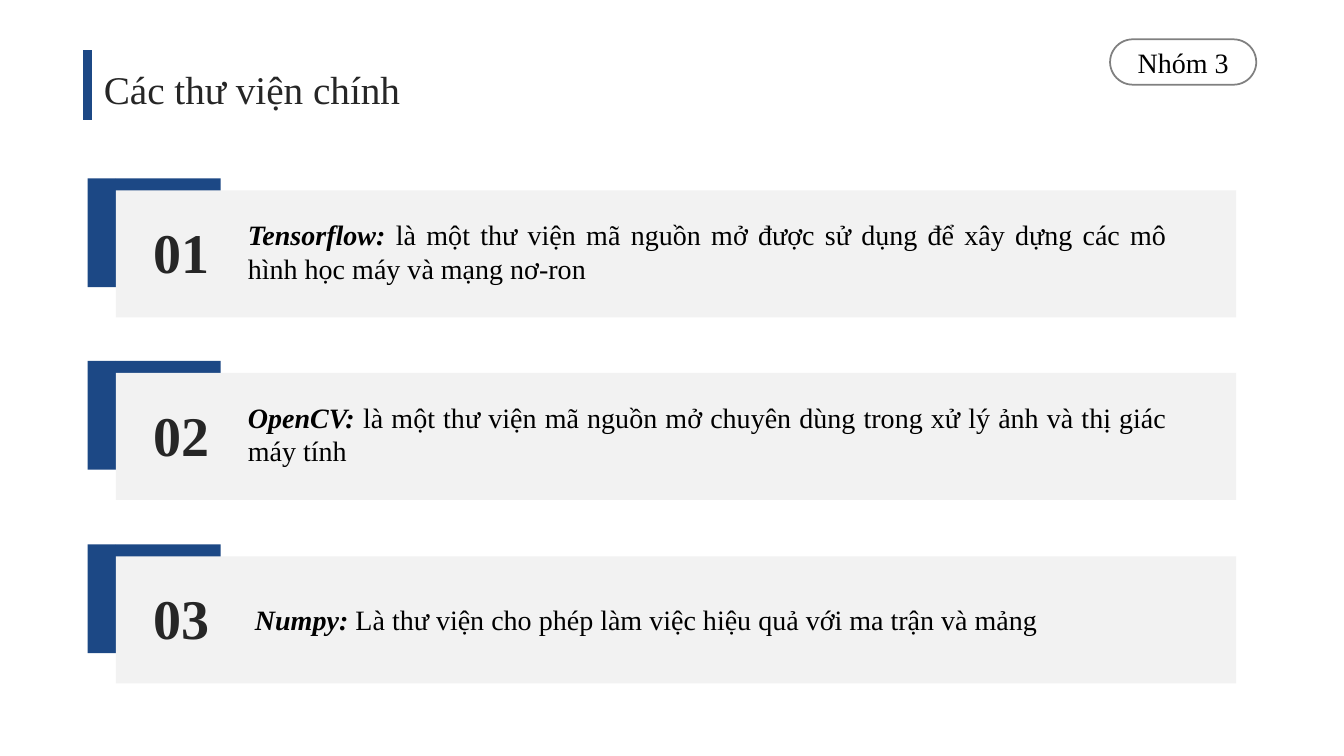
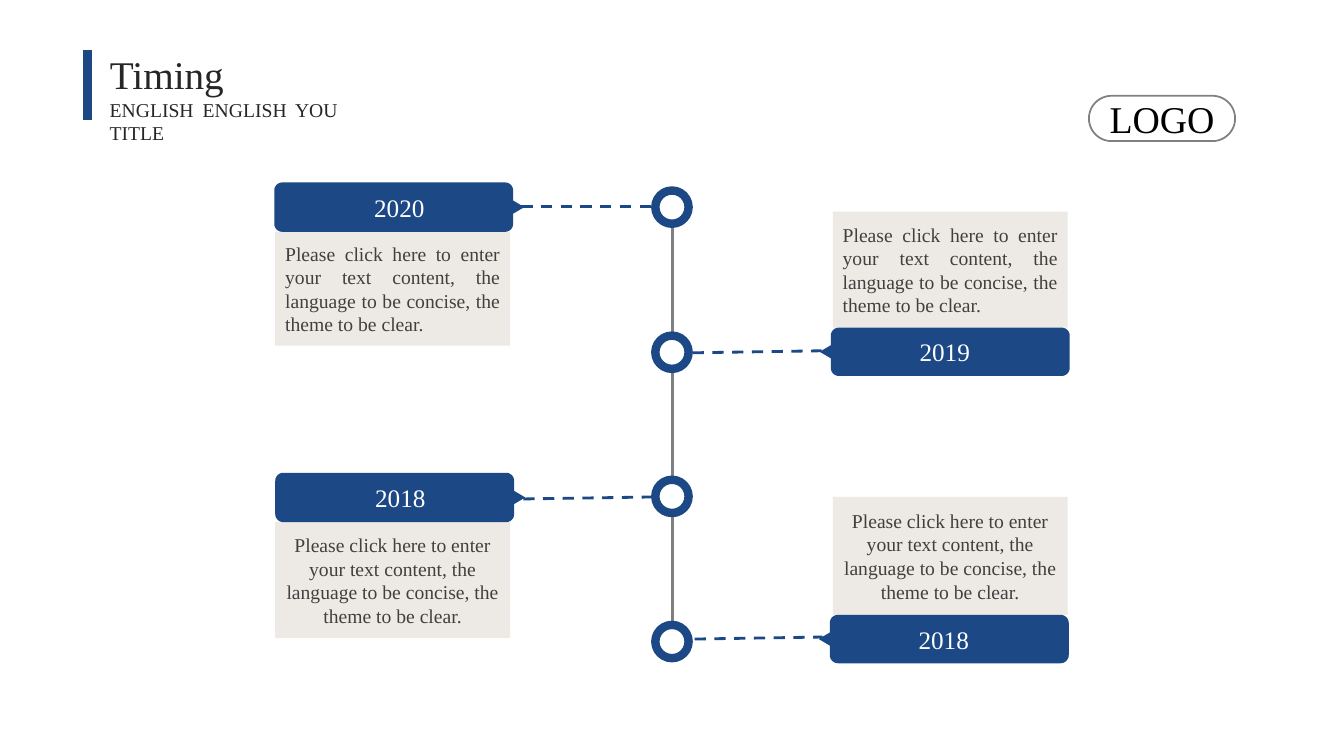
import math
from dataclasses import dataclass

from lxml import etree
from pptx import Presentation, util as u
from pptx.dml.color import RGBColor
from pptx.enum import dml, shapes, text
from pptx.oxml.ns import qn

PX = 9144  # EMU in one px: 100 px to the inch
FONT = "Times New Roman"
COLORS = {
    "navy": "1C4885", "ink": "262626", "body": "404040", "black": "000000",
    "white": "FFFFFF", "gray": "808080", "panel": "F2F2F2", "note": "EDEAE5",
}
LEFT, CENTER, JUSTIFY = (text.PP_ALIGN.LEFT, text.PP_ALIGN.CENTER,
                         text.PP_ALIGN.JUSTIFY)
RECT = shapes.MSO_SHAPE.RECTANGLE
NOTE = ("Please click here to enter your text content, the language "
        "to be concise, the theme to be clear.")

# Library cards
PANEL_TOP, PANEL_HEIGHT = 189, 126

# Timeline
AXIS_X, RING = 667, 33
NOTE_WIDTH, TAG_BODY, NIB, NIB_HALF, CORNER = 233, 237, 11, 6.5, 8


@dataclass(frozen=True)
class Box:
    left: int
    top: int
    width: int
    height: int

    def emu(self) -> list[int]:
        return [u.Emu(v * PX) for v in
                (self.left, self.top, self.width, self.height)]


@dataclass(frozen=True)
class Library:
    number: str
    name: str
    summary: str
    text_left: int = 236
    text_drop: int = 22


@dataclass(frozen=True)
class Milestone:
    year: str
    on_left: bool
    tag: Box
    note_height: int
    note_align: text.PP_ALIGN
    ring_top: int
    link: tuple[int, int, int, int]


LIBRARIES = [
    Library("01", "Tensorflow: ", "là một thư viện mã nguồn mở được sử dụng để "
            "xây dựng các mô hình học máy và mạng nơ-ron"),
    Library("02", "OpenCV: ", "là một thư viện mã nguồn mở chuyên dùng trong "
            "xử lý ảnh và thị giác máy tính"),
    Library("03", "Numpy: ", "Là thư viện cho phép làm việc hiệu quả với "
            "ma trận và mảng", 243, 41),
]
MILESTONES = [
    Milestone("2020", True, Box(272, 181, 248, 49), 113, JUSTIFY, 189,
              (517, 205, 650, 205)),
    Milestone("2019", False, Box(813, 325, 248, 48), 115, JUSTIFY, 333,
              (687, 350, 815, 348)),
    Milestone("2018", True, Box(273, 469, 248, 49), 115, CENTER, 476,
              (519, 495, 649, 493)),
    Milestone("2018", False, Box(812, 610, 248, 48), 117, CENTER, 620,
              (689, 634, 816, 632)),
]


def rgb(name: str) -> RGBColor:
    return RGBColor.from_string(COLORS[name])


def style_text(paragraph, size: int, color: str, align=LEFT,
               bold: bool = False) -> None:
    paragraph.alignment = align
    font = paragraph.font
    font.name, font.size, font.bold = FONT, u.Pt(size), bold
    font.color.rgb = rgb(color)


def paint(shape, fill: str | None, line: str | None = None,
          weight: float = 1) -> None:
    shape.shadow.inherit = False
    if fill:
        shape.fill.solid()
        shape.fill.fore_color.rgb = rgb(fill)
    else:
        shape.fill.background()
    if line:
        shape.line.color.rgb = rgb(line)
        shape.line.width = u.Pt(weight)
    else:
        shape.line.fill.background()


def add_block(slide, box: Box, fill: str | None, line: str | None = None,
              weight: float = 1, kind=RECT):
    block = slide.shapes.add_shape(kind, *box.emu())
    paint(block, fill, line, weight)
    return block


def label(shape, words: str, size: int, color: str, align=CENTER) -> None:
    shape.text_frame.vertical_anchor = text.MSO_ANCHOR.MIDDLE
    shape.text_frame.text = words
    style_text(shape.text_frame.paragraphs[0], size, color, align)


def add_words(slide, box: Box, words: str, size: int, color: str,
              align=LEFT, bold: bool = False):
    frame = slide.shapes.add_textbox(*box.emu()).text_frame
    frame.word_wrap = True
    paragraph = frame.paragraphs[0]
    if words:
        paragraph.text = words
    style_text(paragraph, size, color, align, bold)
    return paragraph


def add_line(slide, ends: tuple[int, int, int, int], color: str,
             weight: float, dashed: bool = False) -> None:
    line = slide.shapes.add_connector(shapes.MSO_CONNECTOR.STRAIGHT,
                                      *[u.Emu(v * PX) for v in ends])
    line.line.color.rgb = rgb(color)
    line.line.width = u.Pt(weight)
    if dashed:
        line.line.dash_style = dml.MSO_LINE.DASH
    etree.SubElement(line._element.spPr, qn("a:effectLst"))


def start_slide(deck, title: str, title_box: Box, badge: str, badge_box: Box,
                badge_size: int):
    """Title, accent bar and badge that both slides share."""
    slide = deck.slides.add_slide(deck.slide_layouts[5])
    heading = slide.shapes.title
    (heading.left, heading.top, heading.width,
     heading.height) = title_box.emu()
    frame = heading.text_frame
    frame.text = title
    frame.word_wrap = True
    frame.auto_size = text.MSO_AUTO_SIZE.NONE
    frame.vertical_anchor = text.MSO_ANCHOR.TOP
    style_text(frame.paragraphs[0], 28, "ink")
    add_line(slide, (87, 50, 87, 119), "navy", 6)
    pill = add_block(slide, badge_box, None, "gray", 1.25,
                     shapes.MSO_SHAPE.ROUNDED_RECTANGLE)
    pill.adjustments[0] = 0.5
    label(pill, badge, badge_size, "black")
    return slide


def add_library(slide, library: Library, top: int) -> None:
    add_block(slide, Box(87, top - 12, 28, 108), "navy")
    add_block(slide, Box(115, top - 12, 104, 16), "navy")
    add_block(slide, Box(115, top, 1111, PANEL_HEIGHT), "panel")
    add_words(slide, Box(142, top + 22, 237, 77), library.number, 40, "ink",
              bold=True)
    box = Box(library.text_left, top + library.text_drop, 931, 77)
    paragraph = add_words(slide, box, "", 20, "black", JUSTIFY)
    name = paragraph.add_run()
    name.text = library.name
    name.font.bold = name.font.italic = True
    paragraph.add_run().text = library.summary


def add_tag(slide, stone: Milestone) -> None:
    """Rounded year tag whose nib points at the axis."""
    tag = stone.tag
    middle = tag.height / 2
    right, bottom = TAG_BODY - CORNER, tag.height - CORNER

    def corner(x: float, y: float, start: int) -> list[tuple[float, float]]:
        turns = [math.radians(start + step) for step in range(0, 91, 15)]
        return [(x + CORNER * math.cos(t), y + CORNER * math.sin(t))
                for t in turns]

    outline = (corner(CORNER, CORNER, 180) + corner(right, CORNER, 270)
               + [(TAG_BODY, middle - NIB_HALF), (TAG_BODY + NIB, middle),
                  (TAG_BODY, middle + NIB_HALF)]
               + corner(right, bottom, 0) + corner(CORNER, bottom, 90))
    if not stone.on_left:
        outline = [(tag.width - x, y) for x, y in outline]
    points = [((tag.left + x) * PX, (tag.top + y) * PX) for x, y in outline]
    builder = slide.shapes.build_freeform(*[round(v) for v in points[0]])
    builder.add_line_segments(points[1:], close=True)
    shape = builder.convert_to_shape()
    paint(shape, "navy")
    label(shape, stone.year, 18, "white")


def add_note(slide, stone: Milestone) -> None:
    """Notes hang below tags on the left and stand on tags on the right."""
    tag, height = stone.tag, stone.note_height
    left = 273 if stone.on_left else 826
    top = tag.top + tag.height if stone.on_left else tag.top - height
    note = add_block(slide, Box(left, top, NOTE_WIDTH, height), "note")
    label(note, NOTE, 14, "body", stone.note_align)


def build_libraries(deck) -> None:
    slide = start_slide(deck, "Các thư viện chính", Box(93, 60, 526, 57),
                        "Nhóm 3", Box(1101, 39, 145, 45), 20)
    for index, library in enumerate(LIBRARIES):
        add_library(slide, library, PANEL_TOP + index * 363 // 2)


def build_timeline(deck) -> None:
    slide = start_slide(deck, "Timing", Box(99, 45, 278, 57),
                        "LOGO", Box(1080, 95, 145, 45), 27)
    add_words(slide, Box(99, 92, 246, 34), "ENGLISH ENGLISH YOU TITLE", 14,
              "ink", JUSTIFY)
    add_line(slide, (AXIS_X, 189, AXIS_X, 654), "gray", 2)
    for stone in MILESTONES:
        add_note(slide, stone)
        add_block(slide, Box(AXIS_X - RING // 2 - 1, stone.ring_top, RING, RING),
                  "white", "navy", 6, shapes.MSO_SHAPE.OVAL)
        add_tag(slide, stone)
        add_line(slide, stone.link, "navy", 2, dashed=True)


def main() -> None:
    deck = Presentation()
    deck.slide_width, deck.slide_height = u.Emu(1333 * PX), u.Emu(750 * PX)
    build_libraries(deck)
    build_timeline(deck)
    deck.save("out.pptx")


if __name__ == "__main__":
    main()
